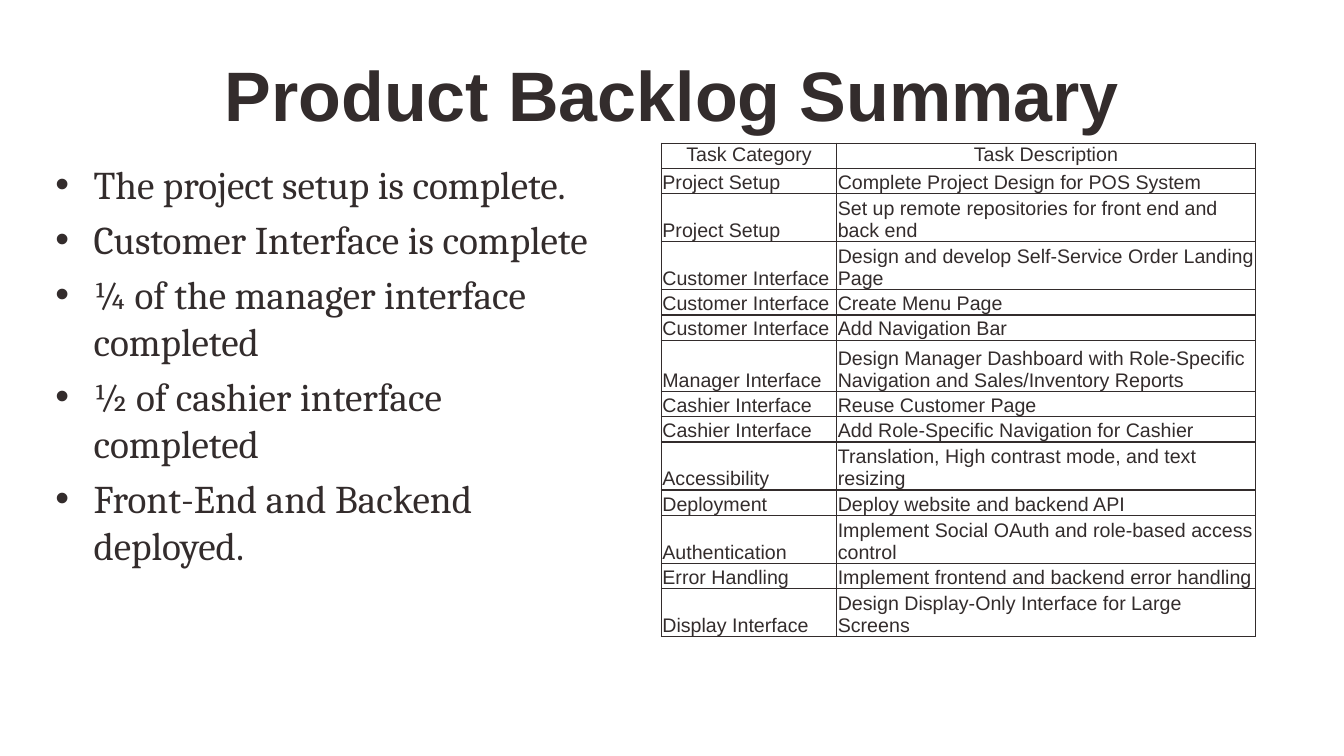
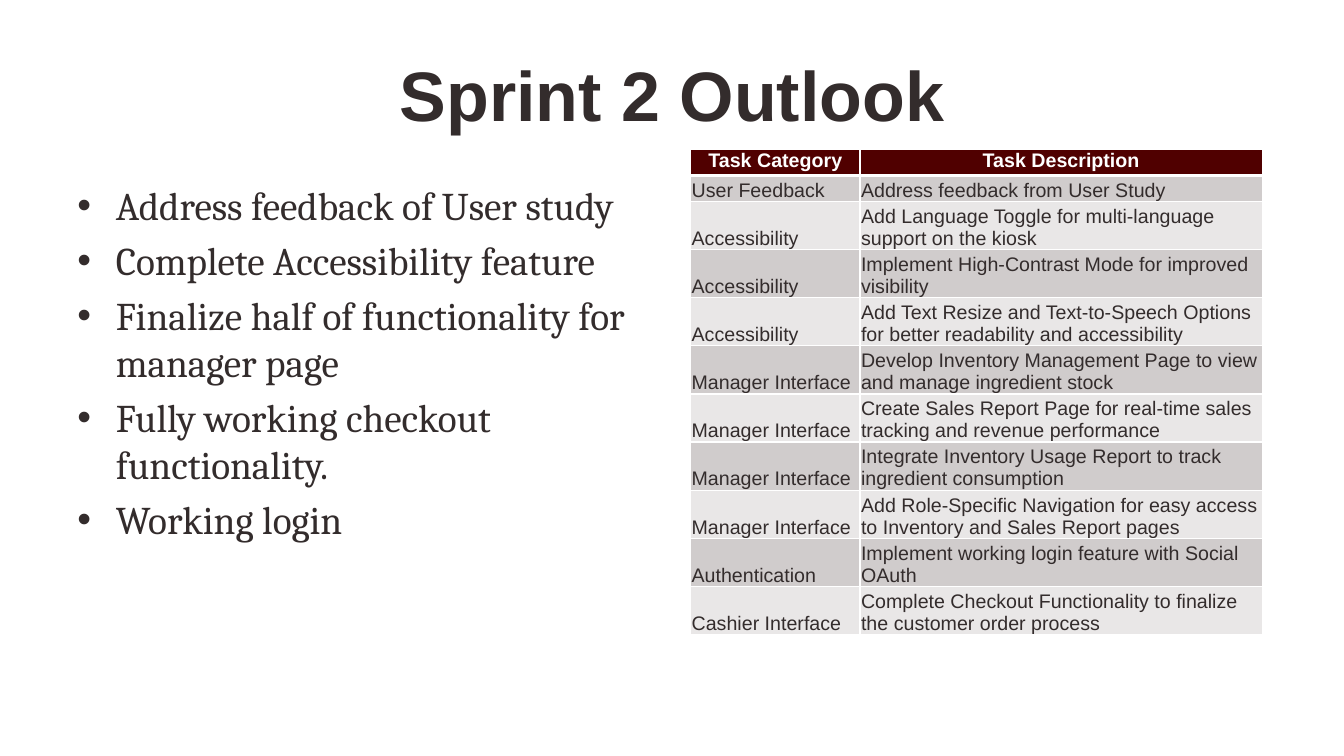
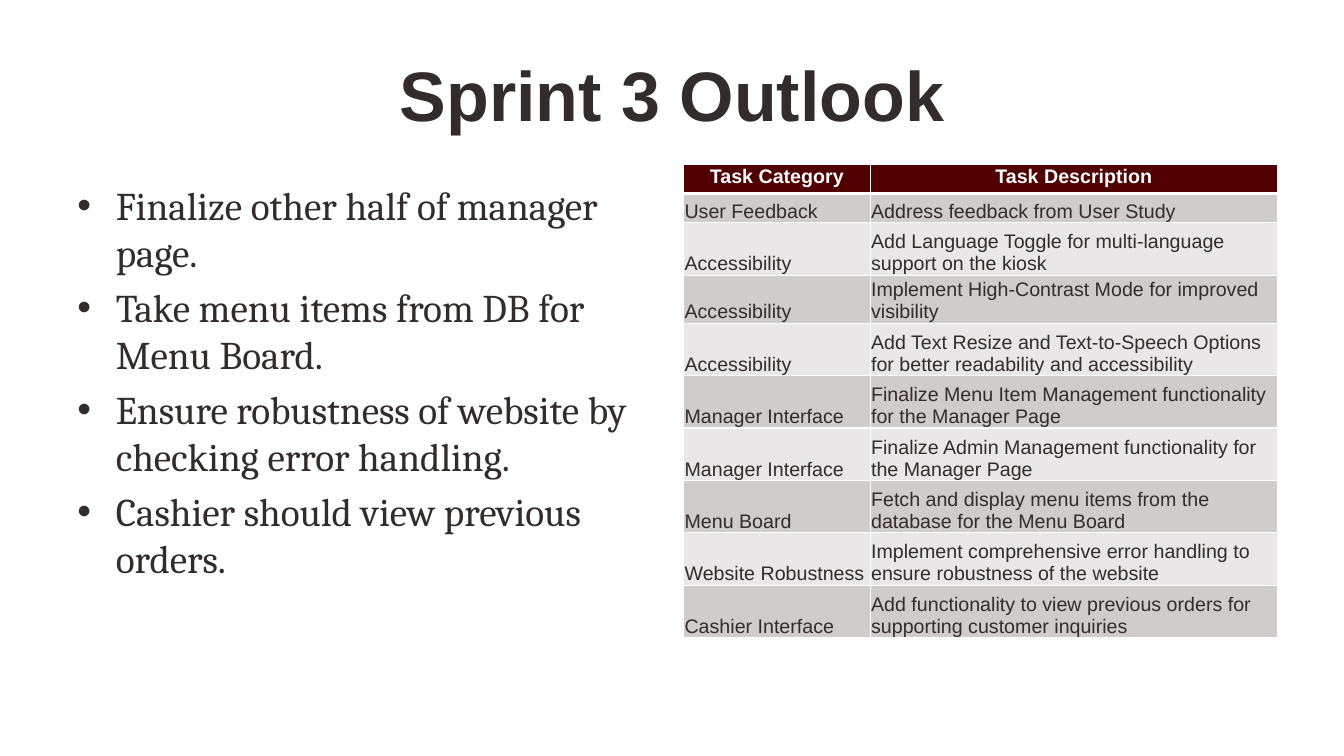
from dataclasses import dataclass

from pptx import Presentation
from pptx.dml.color import RGBColor
from pptx.enum.text import MSO_ANCHOR as Anchor, PP_ALIGN as Align
from pptx.oxml.xmlchemy import OxmlElement
from pptx.util import Inches, Pt


@dataclass(frozen=True)
class Theme:
    ink: str = "332C2C"
    white: str = "FFFFFF"
    maroon: str = "500000"
    dark_band: str = "D0CCCC"
    light_band: str = "E9E7E7"
    heading_font: str = "Arial"
    body_font: str = "Cambria"
    title_size: float = 50
    body_size: float = 28
    table_size: float = 14
    bullet_gap: float = 5.6


THEME = Theme()


@dataclass(frozen=True)
class Frame:
    left: float
    top: float
    width: float
    height: float


@dataclass(frozen=True)
class TableLook:
    header_fill: str
    header_ink: str
    header_bold: bool
    bands: tuple[str, str]
    border: str
    header_rule: float


@dataclass(frozen=True)
class Task:
    category: str
    description: str
    height: float


@dataclass(frozen=True)
class TaskTable:
    left: float
    top: float
    columns: tuple[float, float]
    header_height: float
    look: TableLook
    tasks: tuple[Task, ...]


@dataclass(frozen=True)
class Summary:
    title: str
    bullet_frame: Frame
    bullets: tuple[str, ...]
    table: TaskTable


TITLE_FRAME = Frame(0.67, 0.3, 12, 1.25)
OUTLOOK_FRAME = Frame(0.67, 1.75, 5.89, 4.71)
HEADINGS = ("Task Category", "Task Description")
PLAIN = TableLook(THEME.white, THEME.ink, False, (THEME.white, THEME.white), THEME.ink, 1)
BANDED = TableLook(THEME.maroon, THEME.white, True,
                   (THEME.dark_band, THEME.light_band), THEME.white, 3)

SUMMARIES = (
    Summary(
        "Product Backlog Summary",
        Frame(0.45, 1.54, 5.72, 4.71),
        (
            "The project setup is complete.",
            "Customer Interface is complete",
            "¼ of the manager interface completed",
            "½ of cashier interface completed",
            "Front-End and Backend deployed.",
        ),
        TaskTable(6.56, 1.42, (1.74, 4.15), 0.25, PLAIN, (
            Task("Project Setup", "Complete Project Design for POS System", 0.25),
            Task("Project Setup", "Set up remote repositories for front end and back end", 0.41),
            Task("Customer Interface", "Design and develop Self-Service Order Landing Page", 0.41),
            Task("Customer Interface", "Create Menu Page", 0.25),
            Task("Customer Interface", "Add Navigation Bar", 0.25),
            Task("Manager Interface", "Design Manager Dashboard with Role-Specific "
                 "Navigation and Sales/Inventory Reports", 0.51),
            Task("Cashier Interface", "Reuse Customer Page", 0.25),
            Task("Cashier Interface", "Add Role-Specific Navigation for Cashier", 0.25),
            Task("Accessibility", "Translation, High contrast mode, and text resizing", 0.41),
            Task("Deployment", "Deploy website and backend API", 0.25),
            Task("Authentication", "Implement Social OAuth and role-based access control", 0.47),
            Task("Error Handling", "Implement frontend and backend error handling", 0.25),
            Task("Display Interface", "Design Display-Only Interface for Large Screens", 0.41),
        )),
    ),
    Summary(
        "Sprint 2 Outlook",
        OUTLOOK_FRAME,
        (
            "Address feedback of User study",
            "Complete Accessibility feature",
            "Finalize half of functionality for manager page",
            "Fully working checkout functionality.",
            "Working login",
        ),
        TaskTable(6.85, 1.48, (1.68, 3.99), 0.26, BANDED, (
            Task("User Feedback", "Address feedback from User Study", 0.26),
            Task("Accessibility", "Add Language Toggle for multi-language "
                 "support on the kiosk", 0.47),
            Task("Accessibility", "Implement High-Contrast Mode for improved visibility", 0.47),
            Task("Accessibility", "Add Text Resize and Text-to-Speech Options "
                 "for better readability and accessibility", 0.47),
            Task("Manager Interface", "Develop Inventory Management Page to view "
                 "and manage ingredient stock", 0.47),
            Task("Manager Interface", "Create Sales Report Page for real-time sales "
                 "tracking and revenue performance", 0.47),
            Task("Manager Interface", "Integrate Inventory Usage Report to track "
                 "ingredient consumption", 0.47),
            Task("Manager Interface", "Add Role-Specific Navigation for easy access "
                 "to Inventory and Sales Report pages", 0.47),
            Task("Authentication", "Implement working login feature with Social OAuth", 0.47),
            Task("Cashier Interface", "Complete Checkout Functionality to finalize "
                 "the customer order process", 0.47),
        )),
    ),
    Summary(
        "Sprint 3 Outlook",
        OUTLOOK_FRAME,
        (
            "Finalize other half of manager page.",
            "Take menu items from DB for Menu Board.",
            "Ensure robustness of website by checking error handling.",
            "Cashier should view previous orders.",
        ),
        TaskTable(6.78, 1.63, (1.85, 4.04), 0.29, BANDED, (
            Task("User Feedback", "Address feedback from User Study", 0.29),
            Task("Accessibility", "Add Language Toggle for multi-language "
                 "support on the kiosk", 0.52),
            Task("Accessibility", "Implement High-Contrast Mode for improved visibility", 0.29),
            Task("Accessibility", "Add Text Resize and Text-to-Speech Options "
                 "for better readability and accessibility", 0.52),
            Task("Manager Interface", "Finalize Menu Item Management functionality "
                 "for the Manager Page", 0.52),
            Task("Manager Interface", "Finalize Admin Management functionality for "
                 "the Manager Page", 0.52),
            Task("Menu Board", "Fetch and display menu items from the "
                 "database for the Menu Board", 0.52),
            Task("Website Robustness", "Implement comprehensive error handling to "
                 "ensure robustness of the website", 0.52),
            Task("Cashier Interface", "Add functionality to view previous orders for "
                 "supporting customer inquiries", 0.52),
        )),
    ),
)


def add_span(para, text: str, font: str, size: float, color: str, bold: bool = False) -> None:
    span = para.add_run()
    span.text = text
    span.font.name = font
    span.font.size = Pt(size)
    span.font.bold = bold
    span.font.color.rgb = RGBColor.from_string(color)


def add_box(page, frame: Frame):
    box = page.shapes.add_textbox(Inches(frame.left), Inches(frame.top),
                                  Inches(frame.width), Inches(frame.height))
    box.text_frame.word_wrap = True
    return box.text_frame


def add_title(page, title: str) -> None:
    box = add_box(page, TITLE_FRAME)
    box.vertical_anchor = Anchor.MIDDLE
    para = box.paragraphs[0]
    para.alignment = Align.CENTER
    add_span(para, title, THEME.heading_font, THEME.title_size, THEME.ink, True)


def set_bullet(para) -> None:
    properties = para._p.get_or_add_pPr()
    properties.set("marL", str(Inches(0.38)))
    properties.set("indent", str(Inches(-0.38)))
    for tag, key, value in (("a:buFont", "typeface", THEME.heading_font),
                            ("a:buChar", "char", "•")):
        element = OxmlElement(tag)
        element.set(key, value)
        properties.append(element)


def add_bullets(page, frame: Frame, bullets: tuple[str, ...]) -> None:
    box = add_box(page, frame)
    for index, text in enumerate(bullets):
        para = box.add_paragraph() if index else box.paragraphs[0]
        set_bullet(para)
        if index:
            para.space_before = Pt(THEME.bullet_gap)
        add_span(para, text, THEME.body_font, THEME.body_size, THEME.ink)


def set_borders(cell, color: str, top: float, bottom: float) -> None:
    properties = cell._tc.get_or_add_tcPr()
    sides = (("a:lnL", 1), ("a:lnR", 1), ("a:lnT", top), ("a:lnB", bottom))
    for position, (tag, width) in enumerate(sides):
        line = OxmlElement(tag)
        line.set("w", str(Pt(width)))
        fill = OxmlElement("a:solidFill")
        shade = OxmlElement("a:srgbClr")
        shade.set("val", color)
        fill.append(shade)
        line.append(fill)
        properties.insert(position, line)


def fill_cell(cell, text: str, row: int, look: TableLook) -> None:
    header = row == 0
    cell.margin_left = cell.margin_right = cell.margin_top = Inches(0.01)
    cell.margin_bottom = Inches(0)
    cell.vertical_anchor = Anchor.TOP if header else Anchor.BOTTOM
    cell.fill.solid()
    color = look.header_fill if header else look.bands[(row - 1) % 2]
    cell.fill.fore_color.rgb = RGBColor.from_string(color)
    set_borders(cell, look.border, look.header_rule if row == 1 else 1,
                look.header_rule if header else 1)
    para = cell.text_frame.paragraphs[0]
    para.alignment = Align.CENTER if header else Align.LEFT
    add_span(para, text, THEME.heading_font, THEME.table_size,
             look.header_ink if header else THEME.ink, header and look.header_bold)


def add_tasks(page, plan: TaskTable) -> None:
    rows = (Task(*HEADINGS, plan.header_height), *plan.tasks)
    grid = page.shapes.add_table(
        len(rows), len(plan.columns), Inches(plan.left), Inches(plan.top),
        Inches(sum(plan.columns)), Inches(sum(task.height for task in rows))).table
    grid.first_row = grid.horz_banding = False
    for column, width in zip(grid.columns, plan.columns):
        column.width = Inches(width)
    for row, task in enumerate(rows):
        grid.rows[row].height = Inches(task.height)
        for column, text in enumerate((task.category, task.description)):
            fill_cell(grid.cell(row, column), text, row, plan.look)


def main() -> None:
    deck = Presentation()
    deck.slide_width, deck.slide_height = Inches(13.33), Inches(7.5)
    for summary in SUMMARIES:
        page = deck.slides.add_slide(deck.slide_layouts[6])
        add_title(page, summary.title)
        add_bullets(page, summary.bullet_frame, summary.bullets)
        add_tasks(page, summary.table)
    deck.save("out.pptx")


if __name__ == "__main__":
    main()
